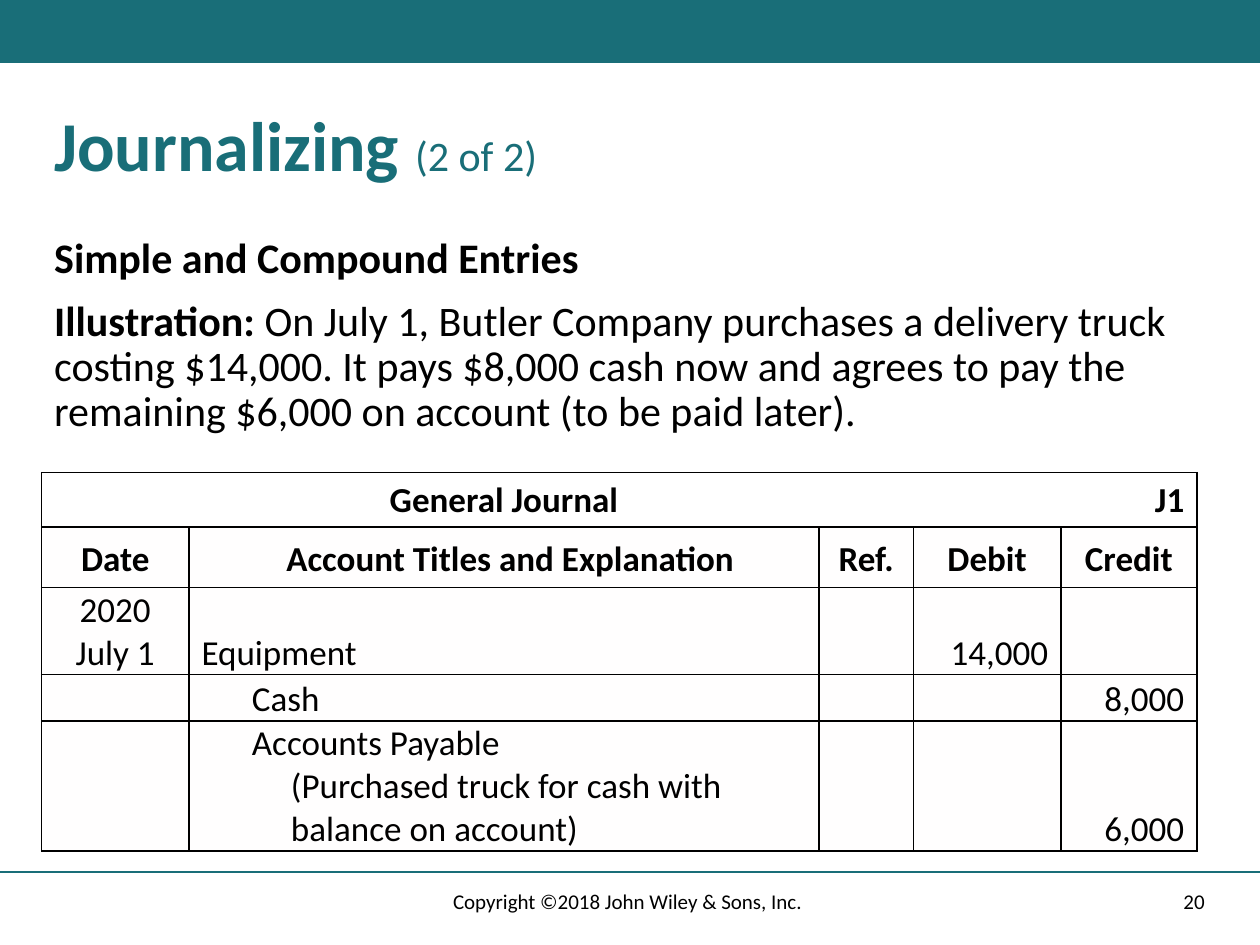
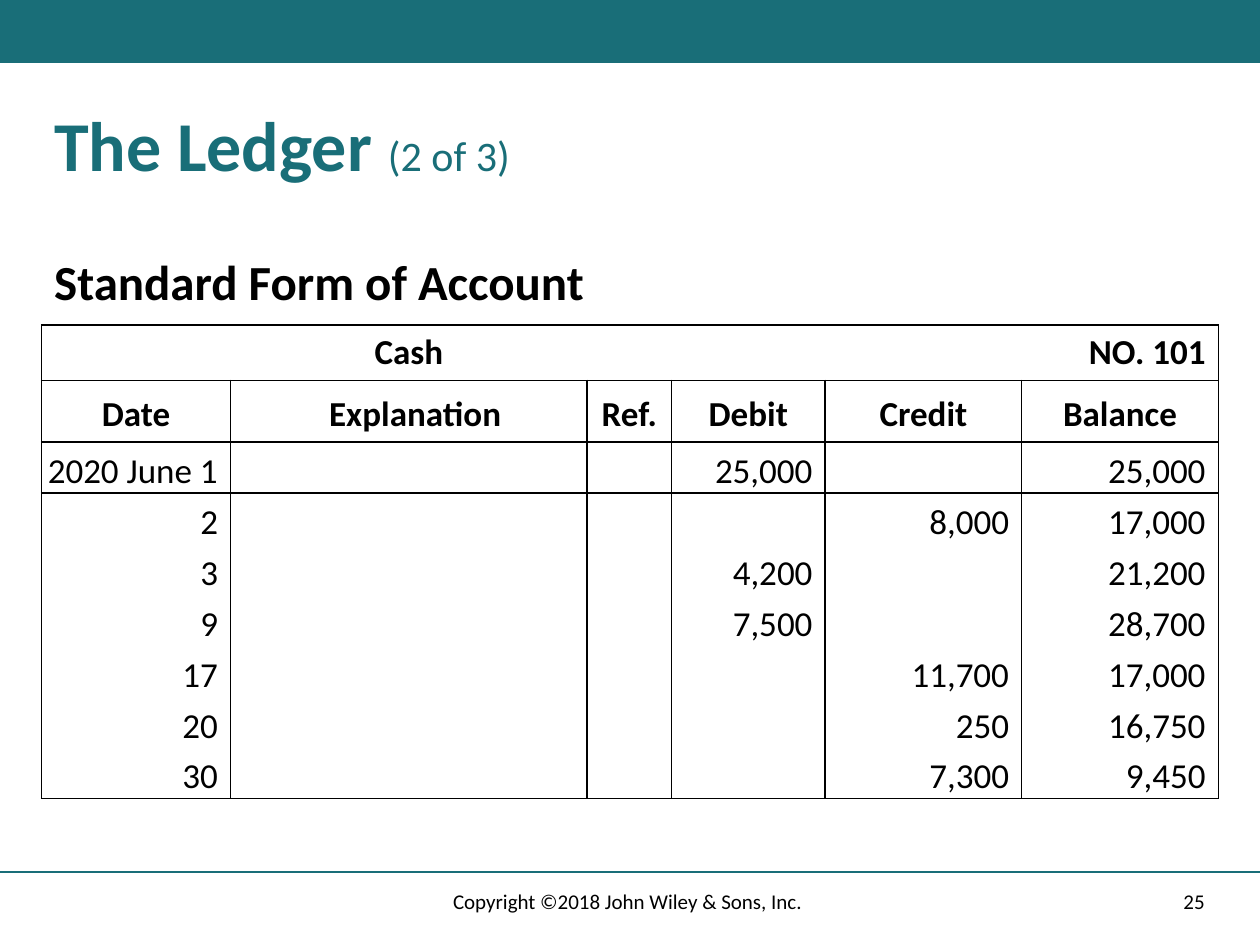
from lxml.etree import SubElement
from pptx import Presentation
from pptx.dml.color import RGBColor
from pptx.enum.shapes import MSO_CONNECTOR as Connector, MSO_SHAPE as Shape
from pptx.enum.text import MSO_ANCHOR as Anchor, MSO_AUTO_SIZE as AutoSize, PP_ALIGN as Align
from pptx.oxml.ns import qn
from pptx.util import Inches, Pt

FONT = "Calibri"
TEAL, BLACK, WHITE = "196E78", "000000", "FFFFFF"
LEFT = 0.33
CONTENT_WIDTH = 9.33
COPYRIGHT = "Copyright ©2018 John Wiley & Sons, Inc. "
NO_STYLE = "{2D5ABB26-0587-4C30-8999-92F81FD0307C}"
ALIGNMENTS = {"l": Align.LEFT, "c": Align.CENTER, "r": Align.RIGHT}


def color(hex_text):
    return RGBColor.from_string(hex_text)


def format_run(run, size, hex_text=BLACK, bold=False):
    run.font.name = FONT
    run.font.size = Pt(size)
    run.font.bold = bold
    run.font.color.rgb = color(hex_text)


def place(shape, left, top, width, height):
    shape.left, shape.top = Inches(left), Inches(top)
    shape.width, shape.height = Inches(width), Inches(height)


# Parts that both slides share

def add_band(slide):
    band = slide.shapes.add_shape(Shape.RECTANGLE, 0, 0, Inches(10), Inches(0.5))
    band.shadow.inherit = False
    band.fill.solid()
    band.fill.fore_color.rgb = color(TEAL)
    band.line.fill.background()


def add_footer_line(slide):
    line = slide.shapes.add_connector(
        Connector.STRAIGHT, 0, Inches(6.92), Inches(10), Inches(6.92))
    line.line.color.rgb = color(TEAL)
    line.line.width = Pt(1)
    SubElement(line._element.spPr, qn("a:effectLst"))


def add_footer_text(slide, left, width, text, alignment):
    box = slide.shapes.add_textbox(Inches(left), Inches(6.95), Inches(width), Inches(0.4))
    frame = box.text_frame
    frame.word_wrap = True
    frame.vertical_anchor = Anchor.MIDDLE
    frame.text = text
    frame.paragraphs[0].alignment = alignment
    format_run(frame.paragraphs[0].runs[0], 12)


def start_slide(presentation, title, part, number):
    slide = presentation.slides.add_slide(presentation.slide_layouts[1])
    add_band(slide)
    add_footer_line(slide)
    add_footer_text(slide, 7.06, 2.6, str(number), Align.RIGHT)
    add_footer_text(slide, 3.31, 3.38, COPYRIGHT, Align.CENTER)

    place(slide.shapes.title, LEFT, 0.83, CONTENT_WIDTH, 0.83)
    frame = slide.shapes.title.text_frame
    frame.auto_size = AutoSize.NONE
    frame.vertical_anchor = Anchor.TOP
    paragraph = frame.paragraphs[0]
    paragraph.alignment = Align.LEFT
    paragraph.line_spacing = 0.9
    for text, size, bold in ((title + " ", 40, True), (part, 24, False)):
        run = paragraph.add_run()
        run.text = text
        format_run(run, size, TEAL, bold)
    return slide


def fill_body(slide, top, width, height, size, paragraphs):
    """Each paragraph is a pair: bold text, then plain text."""
    body = slide.placeholders[1]
    place(body, LEFT, top, width, height)
    frame = body.text_frame
    frame.auto_size = AutoSize.NONE
    frame.vertical_anchor = Anchor.TOP
    for index, (bold_text, plain_text) in enumerate(paragraphs):
        paragraph = frame.add_paragraph() if index else frame.paragraphs[0]
        properties = paragraph._p.get_or_add_pPr()
        properties.set("marL", "0")
        properties.set("indent", "0")
        SubElement(properties, qn("a:buNone"))
        paragraph.line_spacing = 0.9
        paragraph.space_before = Pt(10 if index else 0)
        for text, bold in ((bold_text, True), (plain_text, False)):
            if text:
                run = paragraph.add_run()
                run.text = text
                format_run(run, size, bold=bold)


# Accounting tables

def set_borders(cell, sides):
    properties = cell._tc.get_or_add_tcPr()
    for side in "LRTB":
        if side in sides:
            line = SubElement(properties, qn("a:ln" + side), w=str(Pt(1)))
            fill = SubElement(line, qn("a:solidFill"))
            SubElement(fill, qn("a:srgbClr"), val=BLACK)


def set_insets(cell, left, top, right, bottom):
    cell.margin_left, cell.margin_top = Inches(left), Inches(top)
    cell.margin_right, cell.margin_bottom = Inches(right), Inches(bottom)


def fill_cell(cell, text, alignment, bold, sides, fill):
    set_borders(cell, sides)
    cell.fill.solid()
    cell.fill.fore_color.rgb = color(fill)
    cell.text_frame.text = text
    for paragraph in cell.text_frame.paragraphs:
        paragraph.alignment = alignment
        for run in paragraph.runs:
            format_run(run, 20, bold=bold)


def add_account_table(slide, top, widths, heights, rows, body_alignments,
                      ruled, fill=WHITE):
    """Row 0 names the account, row 1 heads the columns, the rest are entries."""
    frame = slide.shapes.add_table(
        len(rows), len(widths), Inches(LEFT), Inches(top),
        Inches(sum(widths)), Inches(sum(heights)))
    table = frame.table
    table._tbl.tblPr.find(qn("a:tableStyleId")).text = NO_STYLE
    for column, width in zip(table.columns, widths):
        column.width = Inches(width)
    for row, height in zip(table.rows, heights):
        row.height = Inches(height)

    last_row, last_column = len(rows) - 1, len(widths) - 1
    for row, texts in enumerate(rows):
        for column, text in enumerate(texts):
            cell = table.cell(row, column)
            if row == 0:
                sides = "TB" + "L" * (column == 0) + "R" * (column == last_column)
                alignment = Align.RIGHT if column == last_column else Align.CENTER
                fill_cell(cell, text, alignment, True, sides, WHITE)
                continue
            cell.vertical_anchor = Anchor.BOTTOM
            if row == 1:
                set_insets(cell, 0.1 if column == 1 else 0, 0.09, 0, 0.05)
                fill_cell(cell, text, Align.CENTER, True, "LRTB", fill)
            else:
                key = body_alignments[column]
                set_insets(cell, 0, 0, 0.1 if key == "r" else 0, 0)
                sides = "LR" + "T" * (ruled or row == 2) + "B" * (ruled or row == last_row)
                fill_cell(cell, text, ALIGNMENTS[key], False, sides, fill)
    return table


def indent_lines(cell, *indents):
    for paragraph, indent in zip(cell.text_frame.paragraphs, indents):
        paragraph._p.get_or_add_pPr().set("marL", str(Inches(indent)))


# Slides

def build_journal(presentation):
    slide = start_slide(presentation, "Journalizing", "(2 of 2)", 20)
    fill_body(slide, 1.83, CONTENT_WIDTH, 1.75, 24, [
        ("Simple and Compound Entries", ""),
        ("Illustration:",
         " On July 1, Butler Company purchases a delivery truck costing $14,000. "
         "It pays $8,000 cash now and agrees to pay the remaining $6,000 on account "
         "(to be paid later)."),
    ])
    table = add_account_table(
        slide, 3.75, [1.17, 5, 0.75, 1.17, 1.08], [0.43, 0.48, 0.69, 0.37, 1.03],
        [
            ["", "General Journal", "", "", "J1"],
            ["Date", "Account Titles and Explanation", "Ref.", "Debit", "Credit"],
            ["2020\nJuly 1", "Equipment", "", "14,000", ""],
            ["", "Cash", "", "", "8,000"],
            ["", "Accounts Payable\n(Purchased truck for cash with balance on account)",
             "", "", "6,000"],
        ],
        "cllrr", ruled=True, fill="FFFEFE")
    indent_lines(table.cell(2, 1), 0.1)
    indent_lines(table.cell(3, 1), 0.5)
    indent_lines(table.cell(4, 1), 0.5, 0.81)


def build_ledger(presentation):
    slide = start_slide(presentation, "The Ledger", "(2 of 3)", 25)
    fill_body(slide, 2, 4.47, 0.5, 28, [("Standard Form of Account", "")])
    entries = [
        ("2020 June 1", "25,000", "", "25,000"),
        ("2", "", "8,000", "17,000"),
        ("3", "4,200", "", "21,200"),
        ("9", "7,500", "", "28,700"),
        ("17", "", "11,700", "17,000"),
        ("20", "", "250", "16,750"),
        ("30", "", "7,300", "9,450"),
    ]
    rows = [
        ["", "Cash", "", "", "", "NO. 101"],
        ["Date", "Explanation", "Ref.", "Debit", "Credit", "Balance"],
    ]
    rows += [[date, "", "", debit, credit, balance]
             for date, debit, credit, balance in entries]
    entry_height = 2.83 / len(entries)
    add_account_table(
        slide, 2.58, [1.5, 2.83, 0.67, 1.22, 1.56, 1.56],
        [0.44, 0.49] + [entry_height] * len(entries), rows, "rllrrr", ruled=False)


def main():
    presentation = Presentation()
    presentation.slide_width, presentation.slide_height = Inches(10), Inches(7.5)
    build_journal(presentation)
    build_ledger(presentation)
    presentation.save("out.pptx")


if __name__ == "__main__":
    main()
